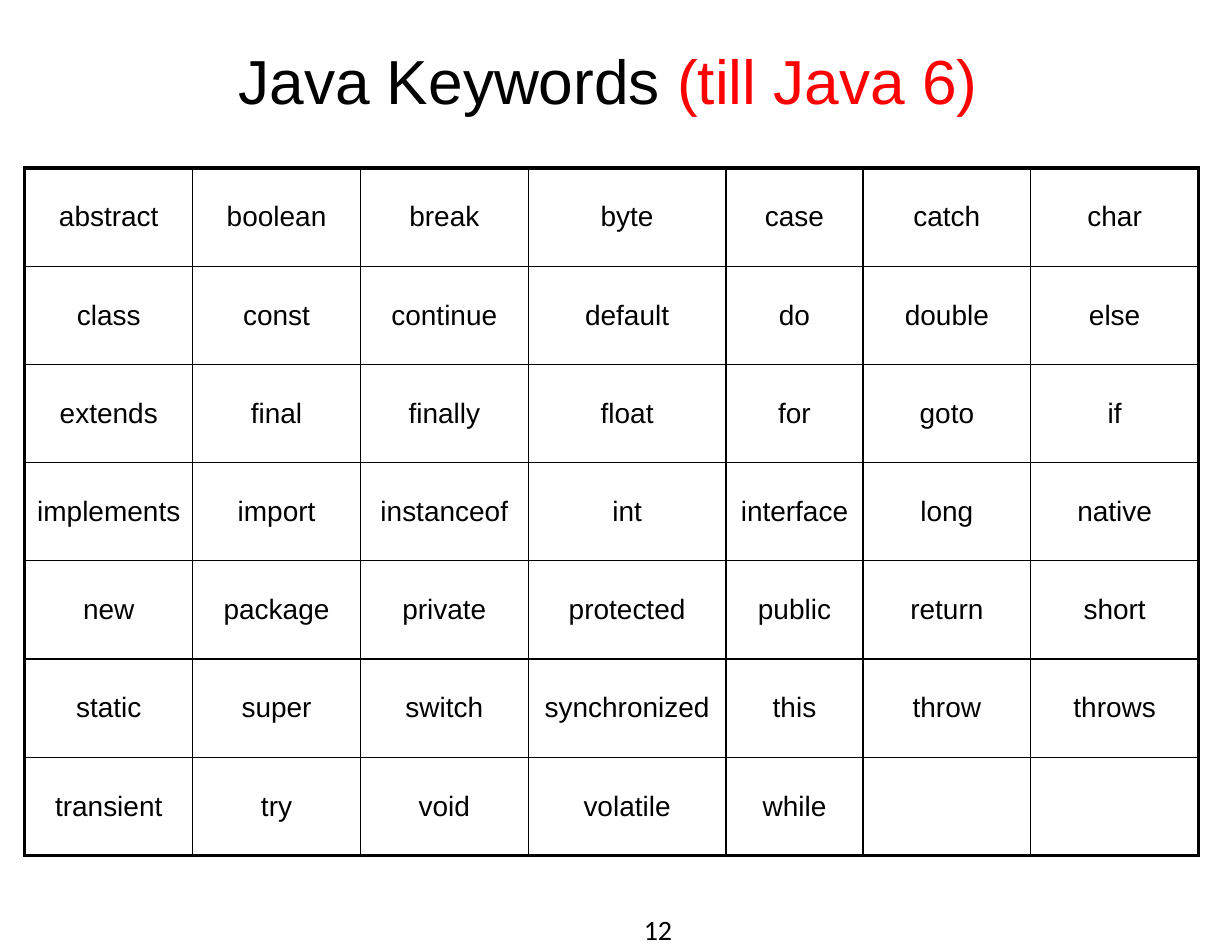
from lxml.etree import SubElement
from pptx import Presentation
from pptx.dml.color import RGBColor
from pptx.enum.text import MSO_ANCHOR, PP_ALIGN
from pptx.oxml import parse_xml
from pptx.oxml.ns import nsdecls, qn
from pptx.util import Pt

COLORS = {"text": "000000", "accent": "FF0000", "border": "000000"}
OUTER, INNER = 2.25, 1
COLUMN_WIDTHS = [108, 108, 108, 127.3, 88.2, 108, 108]
KEYWORDS = """
abstract boolean break byte case catch char
class const continue default do double else
extends final finally float for goto if
implements import instanceof int interface long native
new package private protected public return short
static super switch synchronized this throw throws
transient try void volatile while
""".split()


def add_run(p, text, size, font="Arial", color="text"):
    r = p.add_run()
    r.text = text
    r.font.size = Pt(size)
    r.font.name = font
    r.font.color.rgb = RGBColor.from_string(COLORS[color])


def add_centred_text(s, box, runs):
    """Add one centred line; each run is (text, size, font, color)."""
    sp = s.shapes.add_textbox(*map(Pt, box))
    tf = sp.text_frame
    tf.word_wrap = True
    tf.vertical_anchor = MSO_ANCHOR.MIDDLE
    tf.margin_left = tf.margin_right = tf.margin_top = tf.margin_bottom = 0
    p = tf.paragraphs[0]
    p.alignment = PP_ALIGN.CENTER
    for run in runs:
        add_run(p, *run)


def add_title(s, box):
    add_centred_text(s, box, [("Java Keywords ", 40, "Arial", "text"),
                              ("(till Java 6)", 40, "Arial", "accent")])


def add_page_number(s, box):
    add_centred_text(s, box, [("12", 18, "Calibri", "text")])


def set_borders(cell, widths):
    """Draw the borders of a cell; widths maps the sides L, R, T, B to points."""
    tc_pr = cell._tc.get_or_add_tcPr()
    for i, side in enumerate("LRTB"):
        ln = parse_xml(f'<a:ln{side} {nsdecls("a")} w="{Pt(widths[side])}"/>')
        fill = SubElement(ln, qn("a:solidFill"))
        SubElement(fill, qn("a:srgbClr"), val=COLORS["border"])
        tc_pr.insert(i, ln)


def add_keyword_table(s, box):
    left, top, width, height = box
    n_cols = len(COLUMN_WIDTHS)
    n_rows = -(-len(KEYWORDS) // n_cols)
    table = s.shapes.add_table(n_rows, n_cols, *map(Pt, box)).table
    table.first_row = table.horz_banding = False
    scale = width / sum(COLUMN_WIDTHS)
    for column, w in zip(table.columns, COLUMN_WIDTHS):
        column.width = Pt(w * scale)
    for row in table.rows:
        row.height = Pt(height / n_rows)

    for i, cell in enumerate(table.iter_cells()):
        row, col = divmod(i, n_cols)
        cell.fill.background()
        set_borders(cell, {"L": OUTER if col == 0 else INNER,
                           "R": OUTER if col == n_cols - 1 else INNER,
                           "T": OUTER if row == 0 else INNER,
                           "B": OUTER if row == n_rows - 1 else INNER})
        cell.vertical_anchor = MSO_ANCHOR.MIDDLE
        cell.margin_left = cell.margin_right = Pt(7.5)
        cell.margin_top = cell.margin_bottom = Pt(4)
        if i < len(KEYWORDS):
            p = cell.text_frame.paragraphs[0]
            p.alignment = PP_ALIGN.CENTER
            add_run(p, KEYWORDS[i], 18)


def main():
    prs = Presentation()
    prs.slide_width, prs.slide_height = Pt(792), Pt(612)
    s = prs.slides.add_slide(prs.slide_layouts[6])
    add_page_number(s, (342, 583.2, 162, 28.8))
    add_title(s, (37.4, 27.4, 707, 48.2))
    add_keyword_table(s, (16, 108, 754.6, 442))
    prs.save("out.pptx")


if __name__ == "__main__":
    main()
